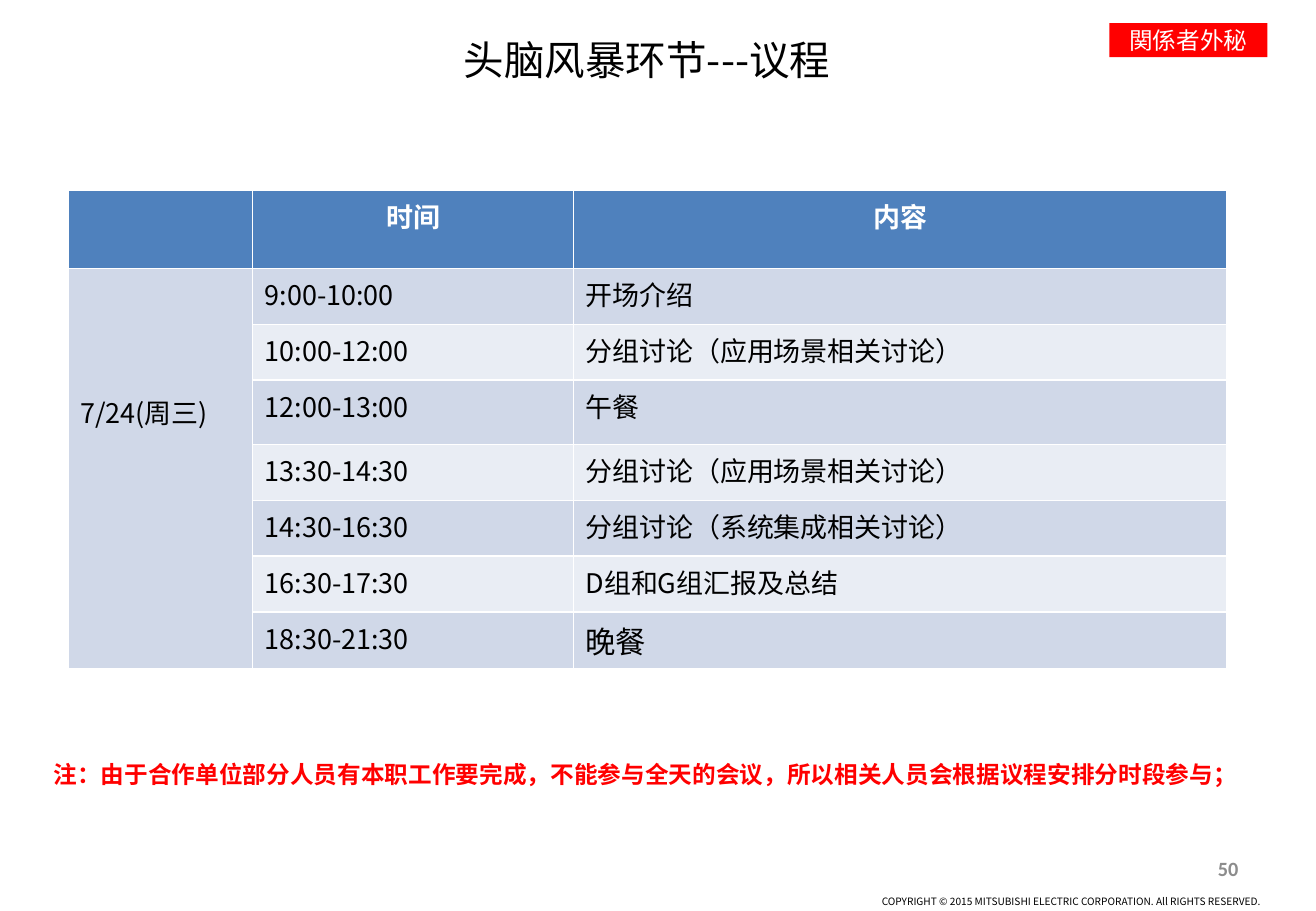
import pptx
import pptx.util
import pptx.dml.color
import pptx.enum.shapes
import pptx.enum.text
import pptx.oxml.ns
import lxml.etree

Inches = pptx.util.Inches
ALIGN = pptx.enum.text.PP_ALIGN
ANCHOR = pptx.enum.text.MSO_ANCHOR

SC = "Noto Sans CJK SC"
JP = "Noto Sans CJK JP"
COLORS = {
    "header": "4F81BD",
    "band_dark": "D0D8E8",
    "band_light": "E9EDF4",
    "red": "FF0000",
    "white": "FFFFFF",
    "black": "000000",
    "gray": "8C8C8C",
}
COLUMNS = [1.52, 2.64, 5.38]
ROWS = [0.64] + [0.46] * 2 + [0.53] + [0.46] * 3 + [0.47]
AGENDA = [
    ("9:00-10:00", "开场介绍", 16),
    ("10:00-12:00", "分组讨论（应用场景相关讨论）", 16),
    ("12:00-13:00", "午餐", 16),
    ("13:30-14:30", "分组讨论（应用场景相关讨论）", 16),
    ("14:30-16:30", "分组讨论（系统集成相关讨论）", 16),
    ("16:30-17:30", "D组和G组汇报及总结", 16),
    ("18:30-21:30", "晚餐", 18),
]


def rgb(name):
    return pptx.dml.color.RGBColor.from_string(COLORS[name])


def write(tf, text, size, color="black", font=SC, bold=False, align=ALIGN.LEFT):
    p = tf.paragraphs[0]
    p.alignment = align
    p.space_before = pptx.util.Pt(0)
    r = p.add_run()
    r.text = text
    r.font.size = pptx.util.Pt(size)
    r.font.bold = bold
    r.font.color.rgb = rgb(color)
    r.font.name = font
    ea = lxml.etree.SubElement(r.font._element, pptx.oxml.ns.qn("a:ea"))
    ea.set("typeface", font)


def set_frame(tf, anchor, insets=(0.1, 0.05, 0.1, 0.05)):
    tf.word_wrap = True
    tf.auto_size = pptx.enum.text.MSO_AUTO_SIZE.NONE
    tf.vertical_anchor = anchor
    tf.margin_left, tf.margin_top, tf.margin_right, tf.margin_bottom = map(Inches, insets)


def add_text(s, box, anchor, insets, text, size, **style):
    sp = s.shapes.add_textbox(*map(Inches, box))
    set_frame(sp.text_frame, anchor, insets)
    write(sp.text_frame, text, size, **style)


def add_title(s, box):
    sp = s.shapes.title
    sp.left, sp.top, sp.width, sp.height = map(Inches, box)
    set_frame(sp.text_frame, ANCHOR.TOP)
    write(sp.text_frame, "头脑风暴环节---议程", 24, align=ALIGN.CENTER)


def add_badge(s, box):
    sp = s.shapes.add_shape(pptx.enum.shapes.MSO_SHAPE.RECTANGLE, *map(Inches, box))
    sp.shadow.inherit = False
    sp.fill.solid()
    sp.fill.fore_color.rgb = rgb("red")
    sp.line.fill.background()
    set_frame(sp.text_frame, ANCHOR.MIDDLE, (0, 0, 0, 0))
    write(sp.text_frame, "関係者外秘", 14, "white", JP, align=ALIGN.CENTER)


def add_agenda(s, box):
    table = s.shapes.add_table(len(ROWS), len(COLUMNS), *map(Inches, box)).table
    for column, width in zip(table.columns, COLUMNS):
        column.width = Inches(width)
    for i, (row, height) in enumerate(zip(table.rows, ROWS)):
        row.height = Inches(height)
        band = "header" if i == 0 else "band_dark" if i % 2 else "band_light"
        for cell in row.cells:
            cell.fill.solid()
            cell.fill.fore_color.rgb = rgb(band)
    for j, heading in enumerate(["时间", "内容"], 1):
        write(table.cell(0, j).text_frame, heading, 16, "white", bold=True, align=ALIGN.CENTER)
    day = table.cell(1, 0)
    day.merge(table.cell(len(AGENDA), 0))
    day.margin_top = Inches(1.02)
    write(day.text_frame, "7/24(周三)", 16, align=ALIGN.JUSTIFY)
    for i, (time, topic, size) in enumerate(AGENDA, 1):
        write(table.cell(i, 1).text_frame, time, 16)
        write(table.cell(i, 2).text_frame, topic, size)


def add_note(s, box):
    add_text(s, box, ANCHOR.MIDDLE, (0.04,) * 4,
             "注：由于合作单位部分人员有本职工作要完成，不能参与全天的会议，"
             "所以相关人员会根据议程安排分时段参与；",
             14, color="red", bold=True)


def add_footer(s, box):
    left, top, width, height = box
    add_text(s, (left, top, width - 0.08, 0.4), ANCHOR.MIDDLE, (0, 0.05, 0.1, 0.05),
             "50", 12, color="gray", font="Calibri", bold=True, align=ALIGN.RIGHT)
    add_text(s, (left, top + height - 0.12, width, 0.12), ANCHOR.BOTTOM, (0, 0, 0, 0),
             "COPYRIGHT © 2015 MITSUBISHI ELECTRIC CORPORATION. All RIGHTS RESERVED.",
             6, font=JP, align=ALIGN.RIGHT)


def main():
    prs = pptx.Presentation()
    prs.slide_width = Inches(10.83)
    prs.slide_height = Inches(7.5)
    s = prs.slides.add_slide(prs.slide_layouts[5])
    add_title(s, (2.41, 0.24, 5.83, 0.5))
    add_badge(s, (9.13, 0.19, 1.3, 0.28))
    add_agenda(s, (0.56, 1.57, sum(COLUMNS), sum(ROWS)))
    add_note(s, (0.4, 5.87, 10.2, 1))
    add_footer(s, (4.44, 6.95, 5.93, 0.52))
    prs.save("out.pptx")


if __name__ == "__main__":
    main()
